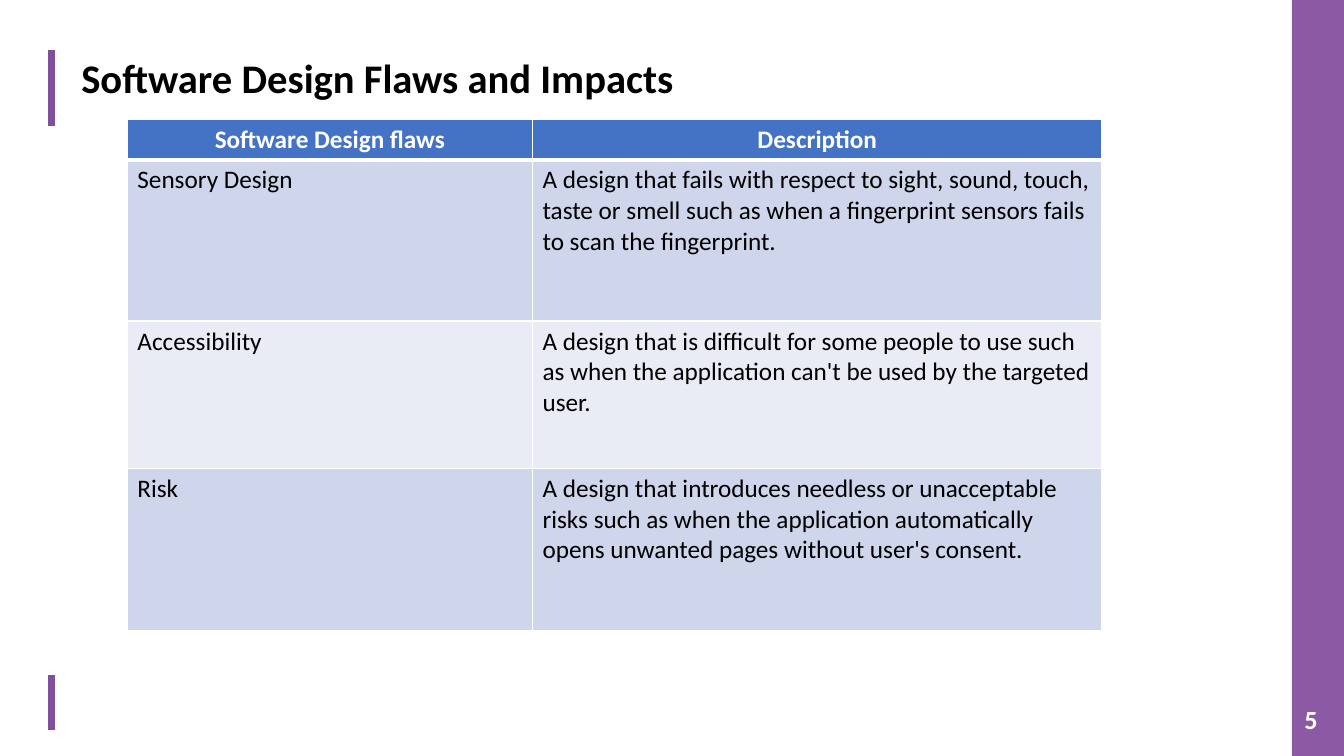
from lxml import etree
from pptx import Presentation
from pptx.dml.color import RGBColor
from pptx.enum.shapes import MSO_CONNECTOR, MSO_SHAPE
from pptx.enum.text import PP_ALIGN
from pptx.oxml.ns import qn
from pptx.util import Cm, Pt

STRAIGHT = MSO_CONNECTOR.STRAIGHT
RECTANGLE = MSO_SHAPE.RECTANGLE
LEFT, CENTER = PP_ALIGN.LEFT, PP_ALIGN.CENTER

WHITE = RGBColor(0xFF, 0xFF, 0xFF)
BLACK = RGBColor(0x00, 0x00, 0x00)
ACCENT_PURPLE = RGBColor(0x81, 0x50, 0x9B)
BAND_PURPLE = RGBColor(0x8C, 0x5A, 0xA5)
HEADER_BLUE = RGBColor(0x44, 0x72, 0xC4)
ROW_FILLS = (RGBColor(0xCF, 0xD5, 0xEA), RGBColor(0xE9, 0xEB, 0xF5))

SLIDE_WIDTH, SLIDE_HEIGHT = 33.87, 19.05
ACCENT_X = 1.3
COLUMN_WIDTHS = (10.21, 14.35)
ROW_HEIGHTS = (1.02, 4.06, 3.71, 4.09)
ROWS = (
    ("Software Design flaws", "Description"),
    ("Sensory Design",
     "A design that fails with respect to sight, sound, touch, taste or smell "
     "such as when a fingerprint sensors fails to scan the fingerprint."),
    ("Accessibility",
     "A design that is difficult for some people to use such as when the "
     "application can't be used by the targeted user."),
    ("Risk",
     "A design that introduces needless or unacceptable risks such as when the "
     "application automatically opens unwanted pages without user's consent."),
)

TITLE_FONT = {"name": "Calibri", "size": Pt(29), "bold": True}
NUMBER_FONT = {"name": "Calibri", "size": Pt(18.7), "bold": True}
HEADER_FONT = {"name": "Calibri", "size": Pt(18), "bold": True}
BODY_FONT = {"name": "Calibri", "size": Pt(18), "bold": False}


def write_text(text_frame, text, font_format, color, alignment=LEFT):
    paragraph = text_frame.paragraphs[0]
    paragraph.alignment = alignment
    run = paragraph.add_run()
    run.text = text
    for name, value in font_format.items():
        setattr(run.font, name, value)
    run.font.color.rgb = color


def add_text(slide, box, text, font_format, color, margins=None):
    text_frame = slide.shapes.add_textbox(*map(Cm, box)).text_frame
    text_frame.word_wrap = True
    for name, value in (margins or {}).items():
        setattr(text_frame, name, value)
    write_text(text_frame, text, font_format, color)


def add_accent_line(slide, x, top, height):
    line = slide.shapes.add_connector(
        STRAIGHT, Cm(x), Cm(top), Cm(x), Cm(top + height))
    line.line.color.rgb = ACCENT_PURPLE
    line.line.width = Pt(5)
    etree.SubElement(line._element.spPr, qn("a:effectLst"))


def add_side_band(slide, left, top, width, height, number):
    """Draw the purple band with the slide number near its foot."""
    band = slide.shapes.add_shape(
        RECTANGLE, Cm(left), Cm(top), Cm(width), Cm(height))
    band.shadow.inherit = False
    band.fill.solid()
    band.fill.fore_color.rgb = BAND_PURPLE
    band.line.fill.background()
    number_box = (left + 0.13, top + height - 1.4, width - 0.2, 0.97)
    margins = {"margin_left": Cm(0.18), "margin_right": Cm(0.18),
               "margin_top": Cm(0.08), "margin_bottom": Cm(0.08)}
    add_text(slide, number_box, number, NUMBER_FONT, WHITE, margins)


def set_borders(cell, widths):
    """Add white borders; widths maps a side (L, R, T, B) to points."""
    properties = cell._tc.get_or_add_tcPr()
    for side, width in widths.items():
        border = etree.SubElement(properties, qn(f"a:ln{side}"), w=str(Pt(width)))
        fill = etree.SubElement(border, qn("a:solidFill"))
        etree.SubElement(fill, qn("a:srgbClr"), val=str(WHITE))


def add_flaws_table(slide, left, top):
    table = slide.shapes.add_table(
        len(ROWS), len(COLUMN_WIDTHS), Cm(left), Cm(top),
        Cm(sum(COLUMN_WIDTHS)), Cm(sum(ROW_HEIGHTS))).table
    for column, width in zip(table.columns, COLUMN_WIDTHS):
        column.width = Cm(width)
    for row, height in zip(table.rows, ROW_HEIGHTS):
        row.height = Cm(height)
    for row_index, texts in enumerate(ROWS):
        is_header = row_index == 0
        if is_header:
            style = (HEADER_FONT, WHITE, CENTER)
            row_fill = HEADER_BLUE
        else:
            style = (BODY_FONT, BLACK, LEFT)
            row_fill = ROW_FILLS[(row_index - 1) % 2]
        borders = {"L": 1, "R": 1, "T": 3 if row_index == 1 else 1,
                   "B": 3 if is_header else 1}
        for column_index, text in enumerate(texts):
            cell = table.cell(row_index, column_index)
            set_borders(cell, borders)
            cell.fill.solid()
            cell.fill.fore_color.rgb = row_fill
            write_text(cell.text_frame, text, *style)


def build_flaws_slide(presentation):
    slide = presentation.slides.add_slide(presentation.slide_layouts[6])
    add_accent_line(slide, ACCENT_X, 1.27, 1.9)
    add_accent_line(slide, ACCENT_X, 17.02, 1.37)
    add_side_band(slide, 32.56, 0, SLIDE_WIDTH - 32.56, SLIDE_HEIGHT, "5")
    add_flaws_table(slide, 3.21, 3.01)
    add_text(slide, (1.8, 1.2, 18.19, 3.99),
             "Software Design Flaws and Impacts", TITLE_FONT, BLACK)


def main():
    presentation = Presentation()
    presentation.slide_width = Cm(SLIDE_WIDTH)
    presentation.slide_height = Cm(SLIDE_HEIGHT)
    build_flaws_slide(presentation)
    presentation.save("out.pptx")


if __name__ == "__main__":
    main()
